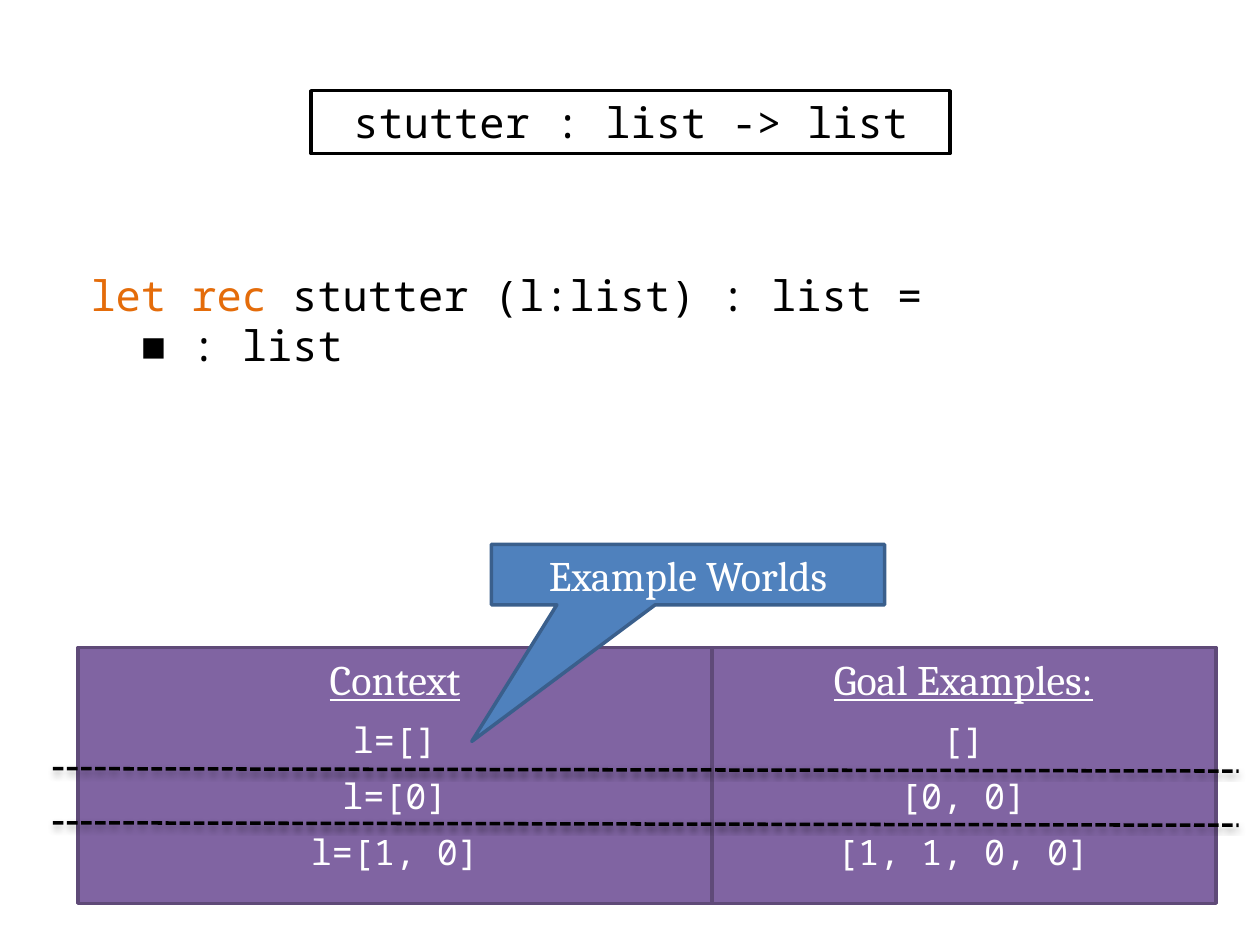
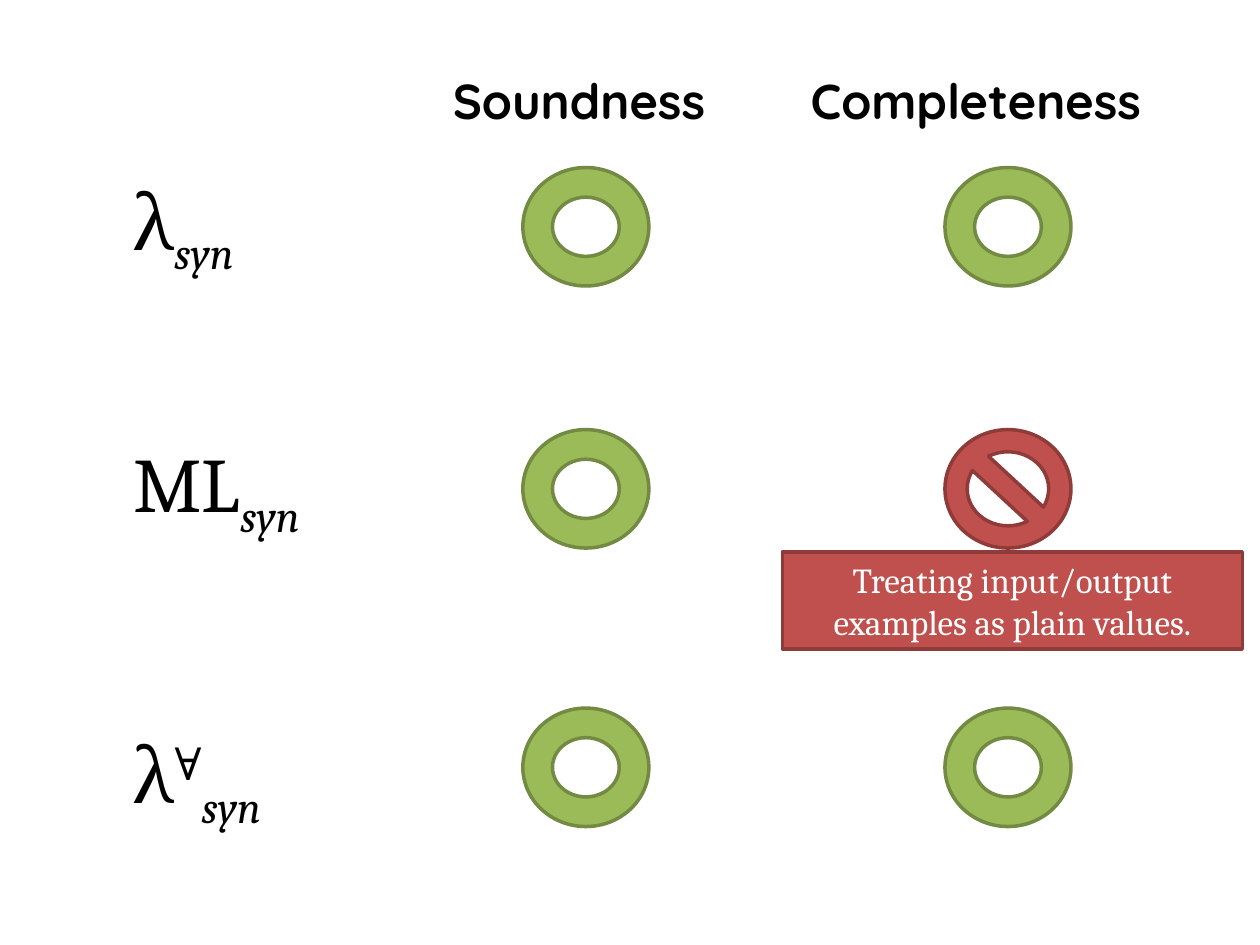
from lxml import etree
from pptx import Presentation
from pptx import util as u
from pptx.dml.color import RGBColor
from pptx.enum import dml, shapes, text
from pptx.oxml.ns import qn

# Theme: colours as (fill, line), type styles as run formats
THEME = {
    "paper": ("FFFFFF", "000000"),
    "world": ("8064A2", "5F4A78"),
    "note": ("4F81BD", "3A5F8C"),
    "holds": ("9BBB59", "738A42"),
    "fails": ("C0504D", "8E3B39"),
    "line_width": 2,
    "code": {"name": "Noto Sans Mono", "size": 24, "color": "000000"},
    "keyword": {"name": "Noto Sans Mono", "size": 24, "color": "E46C0A"},
    "hole": {"name": "Arial", "size": 24, "color": "000000"},
    "value": {"name": "Noto Sans Mono", "size": 20, "color": "FFFFFF"},
    "column": {"name": "Cambria", "size": 24, "color": "FFFFFF", "underline": True},
    "callout": {"name": "Cambria", "size": 24, "color": "FFFFFF"},
    "reason": {"name": "Cambria", "size": 20, "color": "FFFFFF"},
    "heading": {"name": "Quicksand", "size": 28, "color": "000000", "bold": True},
    "calculus": {"name": "Cambria", "size": 44, "color": "000000"},
    "sub": {"name": "Cambria", "size": 44, "color": "000000", "italic": True,
            "baseline": -25000},
    "super": {"name": "Cambria", "size": 44, "color": "000000",
              "baseline": 30000, "spc": -2000},
}
RAW_RUN_ATTRIBUTES = ("baseline", "spc")
WIDTH, HEIGHT = 10, 7.5

# Content: a paragraph is a list of (words, style) runs
SIGNATURE = [[("stutter : list -> list", "code")]]
PROGRAM = [
    [("let rec", "keyword"), (" stutter (l:list) : list =", "code")],
    [("  ", "code"), ("■", "hole"), (" : list", "code")],
]
# Left, width, heading and one value per example world
WORLD_COLUMNS = [
    (5.64, 4.01, "Goal Examples:", ["[]", "[0, 0]", "[1, 1, 0, 0]"]),
    (0.62, 5.03, "Context", ["l=[]", "l=[0]", "l=[1, 0]"]),
]
CALLOUT = "Example Worlds"
# Heading, its left and width, left of its marks
PROPERTIES = [
    ("Soundness", 3.25, 2.69, 4.15),
    ("Completeness", 6.21, 3.07, 7.5),
]
# Runs, label width, label top, mark top, verdict per property
CALCULI = [
    ([("λ", "calculus"), ("syn", "sub")], 1.16, 1.33, 1.33, (True, True)),
    ([("ML", "calculus"), ("syn", "sub")], 1.76, 3.41, 3.41, (True, False)),
    ([("λ", "calculus"), ("∀", "super"), ("syn", "sub")], 1.29, 5.72, 5.62,
     (True, True)),
]
REASON = "Treating input/output examples as plain values."

SHAPE = shapes.MSO_SHAPE
CENTER = text.PP_ALIGN.CENTER
GROW = text.MSO_AUTO_SIZE.SHAPE_TO_FIT_TEXT


def inches(*lengths):
    return [u.Inches(length) for length in lengths]


def style_run(run, style):
    for key, value in THEME[style].items():
        if key in RAW_RUN_ATTRIBUTES:
            run.font._element.set(key, str(value))
        elif key == "color":
            run.font.color.rgb = RGBColor.from_string(value)
        else:
            setattr(run.font, key, u.Pt(value) if key == "size" else value)


def write(part, paragraphs, align=CENTER, gap=0, **frame_format):
    frame = part.text_frame
    settings = {"word_wrap": True, "vertical_anchor": text.MSO_ANCHOR.TOP}
    for key, value in {**settings, **frame_format}.items():
        setattr(frame, key, value)
    for index, runs in enumerate(paragraphs):
        paragraph = frame.add_paragraph() if index else frame.paragraphs[0]
        paragraph.alignment = align
        if index and gap:
            paragraph.space_before = u.Pt(gap)
        for words, style in runs:
            run = paragraph.add_run()
            run.text = words
            style_run(run, style)


def add_block(slide, kind, at, colours):
    block = slide.shapes.add_shape(kind, *inches(*at))
    fill, line = THEME[colours]
    block.shadow.inherit = False
    block.fill.solid()
    block.fill.fore_color.rgb = RGBColor.from_string(fill)
    block.line.color.rgb = RGBColor.from_string(line)
    block.line.width = u.Pt(THEME["line_width"])
    return block


def add_words(slide, at, paragraphs, **options):
    write(slide.shapes.add_textbox(*inches(*at)), paragraphs, **options)


def add_divider(slide, left, top, right, bottom):
    divider = slide.shapes.add_connector(
        shapes.MSO_CONNECTOR.STRAIGHT, *inches(left, top, right, bottom))
    divider.line.color.rgb = RGBColor.from_string(THEME["paper"][1])
    divider.line.width = u.Pt(THEME["line_width"])
    divider.line.dash_style = dml.MSO_LINE.SQUARE_DOT
    # Soft shadow straight below the line
    effects = etree.SubElement(divider._element.spPr, qn("a:effectLst"))
    shadow = etree.SubElement(
        effects, qn("a:outerShdw"), blurRad=str(u.Pt(3.1)), dist=str(u.Pt(1.6)),
        dir="5400000", rotWithShape="0")
    colour = etree.SubElement(shadow, qn("a:srgbClr"), val=THEME["paper"][1])
    etree.SubElement(colour, qn("a:alpha"), val="38000")


def build_example_worlds(slide):
    # Signature and program so far
    signature = add_block(slide, SHAPE.RECTANGLE, (2.47, 0.72, 5.07, 0.5), "paper")
    write(signature, SIGNATURE, auto_size=GROW)
    add_words(slide, (0.62, 2.09, 6.92, 0.91), PROGRAM,
              align=text.PP_ALIGN.LEFT, auto_size=GROW)

    # Context and goals, one line per world
    for left, width, heading, values in WORLD_COLUMNS:
        column = add_block(slide, SHAPE.RECTANGLE, (left, 5.14, width, 2.03), "world")
        lines = [[(heading, "column")]] + [[(value, "value")] for value in values]
        write(column, lines, gap=8)

    # Dividers between worlds
    for index in range(len(WORLD_COLUMNS[0][3]) - 1):
        top = 6.1 + index * 0.43
        add_divider(slide, 0.42, top, 9.83, top + 0.02)

    # Callout pointing at the first world
    callout = add_block(slide, SHAPE.RECTANGULAR_CALLOUT, (3.9, 4.32, 3.12, 0.48), "note")
    callout.adjustments[0], callout.adjustments[1] = -0.55, 2.76
    write(callout, [[(CALLOUT, "callout")]], vertical_anchor=text.MSO_ANCHOR.MIDDLE)


def build_properties(slide):
    # Column headings
    for heading, left, width, _ in PROPERTIES:
        add_words(slide, (left, 0.51, width, 0.57), [[(heading, "heading")]],
                  auto_size=GROW)

    # One row per calculus: label and verdicts
    for runs, width, label_top, mark_top, verdicts in CALCULI:
        add_words(slide, (0.96, label_top, width, 0.84), [runs],
                  align=text.PP_ALIGN.LEFT, word_wrap=False, auto_size=GROW)
        for (_, _, _, mark_left), holds in zip(PROPERTIES, verdicts):
            kind, colours = (SHAPE.DONUT, "holds") if holds else (SHAPE.NO_SYMBOL, "fails")
            add_block(slide, kind, (mark_left, mark_top, 1, 0.94), colours)

    # Why completeness fails
    reason = add_block(slide, SHAPE.RECTANGLE, (6.21, 4.38, 3.65, 0.77), "fails")
    write(reason, [[(REASON, "reason")]], auto_size=GROW)


def main():
    deck = Presentation()
    deck.slide_width, deck.slide_height = inches(WIDTH, HEIGHT)
    blank = deck.slide_layouts[6]
    for build in (build_example_worlds, build_properties):
        build(deck.slides.add_slide(blank))
    deck.save("out.pptx")


if __name__ == "__main__":
    main()
